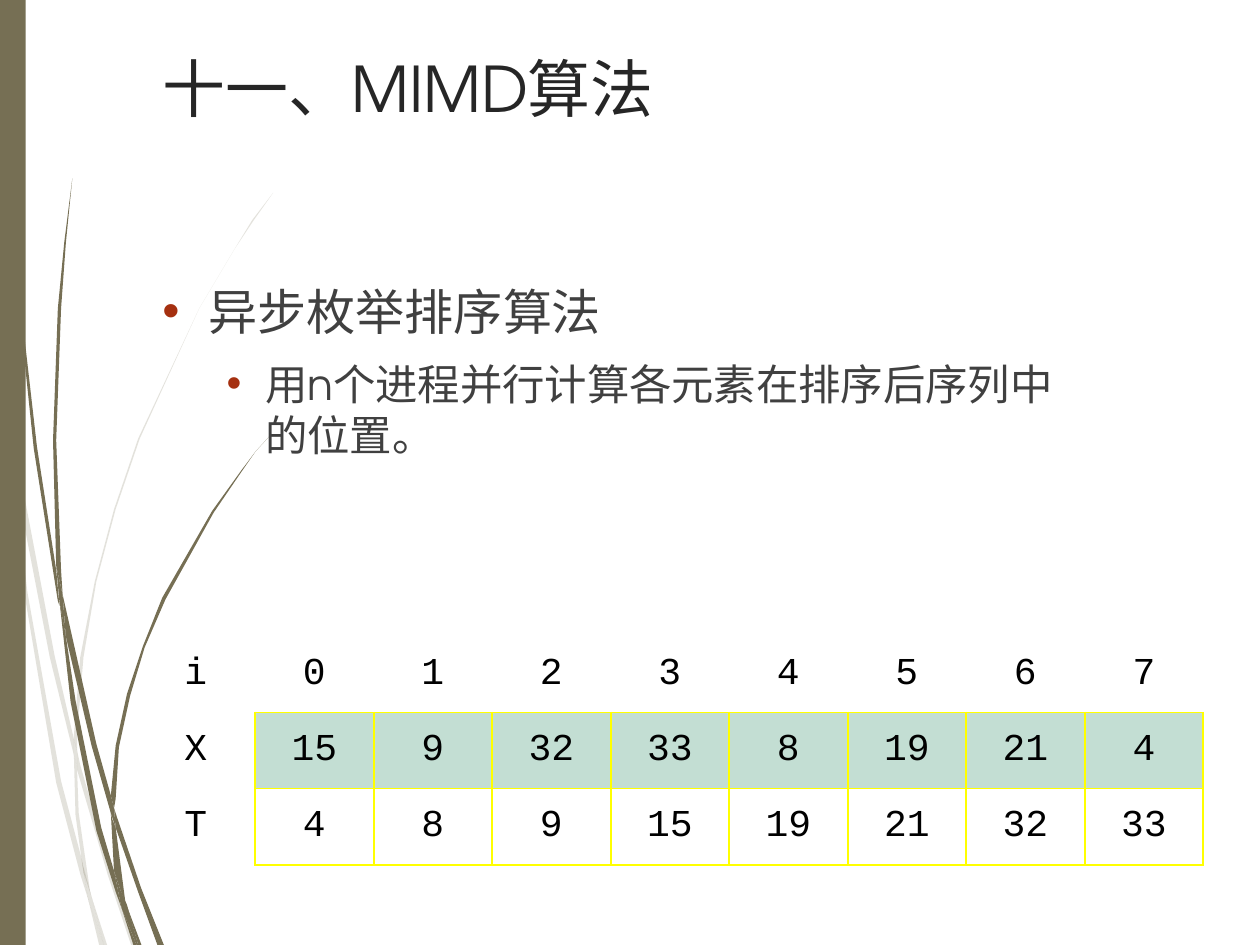
from dataclasses import dataclass
from lxml.etree import SubElement
from pptx import Presentation
from pptx.dml.color import RGBColor
from pptx.enum.shapes import MSO_SHAPE
from pptx.enum.text import MSO_ANCHOR, MSO_AUTO_SIZE, PP_ALIGN
from pptx.oxml import parse_xml
from pptx.oxml.ns import nsdecls, qn
from pptx.util import Inches, Pt


@dataclass(frozen=True)
class Theme:
    stem: str = "766F54"
    title: str = "262626"
    body: str = "404040"
    bullet: str = "A53010"
    cell: str = "000000"
    shade: str = "C3DED3"
    rule: str = "FFFF00"
    sans: str = "TeX Gyre Adventor"
    mono: str = "Courier New"
    title_size: float = 28.2
    list_sizes: tuple = (22, 19)
    cell_size: float = 17


theme = Theme()

# Corner points of each blade, x and y in inches
PALE = [
    "0.06 2.75 0.05 2.52 0 2.21 0 2.35 0.05 2.7",
    "0.31 4.09 0.46 4.7 0.46 4.6 0.34 4.08 0.08 2.71 0.09 2.95",
    "0.5 4.76 0.48 4.67 0.48 4.79 0.67 5.44 0.82 5.89 0.84 5.89 0.69 5.42",
    "0.65 5.89 0.67 5.89 0.57 5.58",
    "0.51 5.35 0.38 4.86 0.17 3.68 0.09 2.95 0.06 2.75 0.15 3.68 0.35 4.87 0.5 5.44 0.55 5.6 0.54 5.54",
    "0.04 2.48 0.05 2.53 0.07 2.7 0.08 2.71 0.06 2.47 0.03 1.26 0.05 0.2 0.02 1.26",
    "0.46 4.7 0.47 5.07 0.51 5.36 0.52 5.43 0.57 5.58 0.56 5.54 0.49 5.06 0.48 4.79 0.48 4.77",
    "0.48 4.58 0.52 4.09 0.6 3.62 0.72 3.17 0.87 2.73 1.24 1.92 1.46 1.55 1.58 1.37 1.7 1.2 "
    "1.57 1.37 1.46 1.55 1.24 1.92 0.86 2.73 0.71 3.17 0.59 3.62 0.5 4.09 0.46 4.58 0.46 4.6 0.48 4.67",
    "0.55 5.6 0.62 5.89 0.65 5.89",
    "0.48 4.77 0.48 4.67 0.46 4.6 0.46 4.7",
    "0.53 5.43 0.51 5.36 0.54 5.54 0.55 5.6 0.65 5.89 0.57 5.58",
]
DARK = [
    "0.04 0.86 0.11 1.83 0.21 2.79 0.36 3.74 0.37 3.77 0.35 3.55 0.23 2.78 0.12 1.82 0.05 0.86 "
    "0.03 0.38 0.02 0 0.02 0.38",
    "0.57 4.64 0.69 5.06 0.69 4.95 0.6 4.63 0.39 3.7 0.41 3.96",
    "0.73 5.09 0.71 5.03 0.72 5.15 0.86 5.55 0.98 5.88 1.02 5.88 0.88 5.53",
    "0.71 5.42 0.63 5.15 0.47 4.36 0.41 3.96 0.37 3.74 0.44 4.37 0.6 5.17 0.72 5.55 0.76 5.66 0.75 5.62",
    "0.39 3.7 0.38 3.55 0.35 2.74 0.38 1.92 0.41 1.51 0.45 1.11 0.4 1.51 0.36 1.92 0.33 2.74 0.35 3.52",
    "0.86 5.88 0.88 5.88 0.79 5.64",
    "0.37 3.74 0.41 3.96 0.39 3.7 0.35 3.52",
    "0.72 4.97 0.74 4.65 0.81 4.33 0.9 4.03 1.03 3.73 1.33 3.19 1.5 2.94 1.59 2.81 1.69 2.7 "
    "1.59 2.81 1.5 2.93 1.32 3.18 1.01 3.72 0.89 4.02 0.79 4.32 0.72 4.64 0.69 4.95 0.71 5.03",
    "0.76 5.66 0.83 5.88 0.85 5.88",
    "0.69 5.06 0.71 5.42 0.75 5.54 0.79 5.64 0.78 5.61 0.72 5.15 0.7 5.1",
    "0.69 5.06 0.72 5.15 0.71 5.03 0.69 4.95",
    "0.75 5.54 0.71 5.42 0.75 5.62 0.76 5.66 0.85 5.88 0.86 5.88 0.79 5.63",
]
GRID = 100


def paint(shape):
    shape.shadow.inherit = False
    shape.line.fill.background()
    shape.fill.solid()
    shape.fill.fore_color.rgb = RGBColor.from_string(theme.stem)


def style(par, face, size, color):
    for run in par.runs:
        run.font.name, run.font.size = face, Pt(size)
        run.font.color.rgb = RGBColor.from_string(color)


deck = Presentation()
deck.slide_width, deck.slide_height = Inches(7.84), Inches(5.88)
slide = deck.slides.add_slide(deck.slide_layouts[1])
title, body = slide.placeholders

# Grass stems and side bar
for blades, alpha in ((PALE, 20), (DARK, 100)):
    group = slide.shapes.add_group_shape()
    for blade in blades:
        nums = [float(n) * GRID for n in blade.split()]
        dots = list(zip(nums[::2], nums[1::2]))
        pen = group.shapes.build_freeform(*dots[0], scale=Inches(1) / GRID)
        pen.add_line_segments(dots[1:], close=True)
        leaf = pen.convert_to_shape()
        paint(leaf)
        if alpha < 100:
            tint = leaf.element.spPr.find(qn("a:solidFill"))[0]
            SubElement(tint, qn("a:alpha"), val=str(alpha * 1000))
paint(slide.shapes.add_shape(MSO_SHAPE.RECTANGLE, 0, 0, Inches(0.16), deck.slide_height))

# Title and list, in front of the stems
for holder, place in ((title, (0.91, 0.26, 6.47, 1.23)), (body, (0.91, 1.7, 5.92, 1.48))):
    holder.left, holder.top, holder.width, holder.height = map(Inches, place)
    holder.text_frame.auto_size = MSO_AUTO_SIZE.NONE
    holder.text_frame.vertical_anchor = MSO_ANCHOR.TOP
    holder.element.getparent().append(holder.element)
title.text_frame.text = "十一、MIMD算法"
head = title.text_frame.paragraphs[0]
head.alignment = PP_ALIGN.LEFT
style(head, theme.sans, theme.title_size, theme.title)

body.text_frame.text = "异步枚举排序算法\n用n个进程并行计算各元素在排序后序列中的位置。"
for level, par in enumerate(body.text_frame.paragraphs):
    margin, hang = ((0.29, 0.29), (0.64, 0.24))[level]
    props = par._p.get_or_add_pPr()
    props.set("marL", str(Inches(margin)))
    props.set("indent", str(-Inches(hang)))
    tint = SubElement(props, qn("a:buClr"))
    SubElement(tint, qn("a:srgbClr"), val=theme.bullet)
    SubElement(props, qn("a:buFont"), typeface="Arial")
    SubElement(props, qn("a:buChar"), char="•")
    par.level = level
    par.space_before = Pt(7.9 * level)
    style(par, theme.sans, theme.list_sizes[level], theme.body)

# Table of input X and sorted result T
values = [15, 9, 32, 33, 8, 19, 21, 4]
rows = [["i", *range(len(values))], ["X", *values], ["T", *sorted(values)]]
frame = slide.shapes.add_table(3, 9, Inches(0.85), Inches(3.96), Inches(6.64), Inches(1.42))
table = frame.table
table.first_row = table.horz_banding = False
for r, row in enumerate(rows):
    for c, value in enumerate(row):
        cell = table.cell(r, c)
        cell.text_frame.text = str(value)
        cell.vertical_anchor = MSO_ANCHOR.MIDDLE
        par = cell.text_frame.paragraphs[0]
        par.alignment = PP_ALIGN.CENTER
        style(par, theme.mono, theme.cell_size, theme.cell)
        inner = r > 0 and c > 0
        ruled = {"L": inner, "R": r > 0, "T": inner, "B": c > 0}
        props = cell._tc.get_or_add_tcPr()
        for side, on in ruled.items():
            ink = f'<a:solidFill><a:srgbClr val="{theme.rule}"/></a:solidFill>' if on else "<a:noFill/>"
            props.append(parse_xml(f'<a:ln{side} {nsdecls("a")} w="{Pt(1)}">{ink}</a:ln{side}>'))
        if r == 1 and c > 0:
            cell.fill.solid()
            cell.fill.fore_color.rgb = RGBColor.from_string(theme.shade)
        else:
            cell.fill.background()

deck.save("out.pptx")
